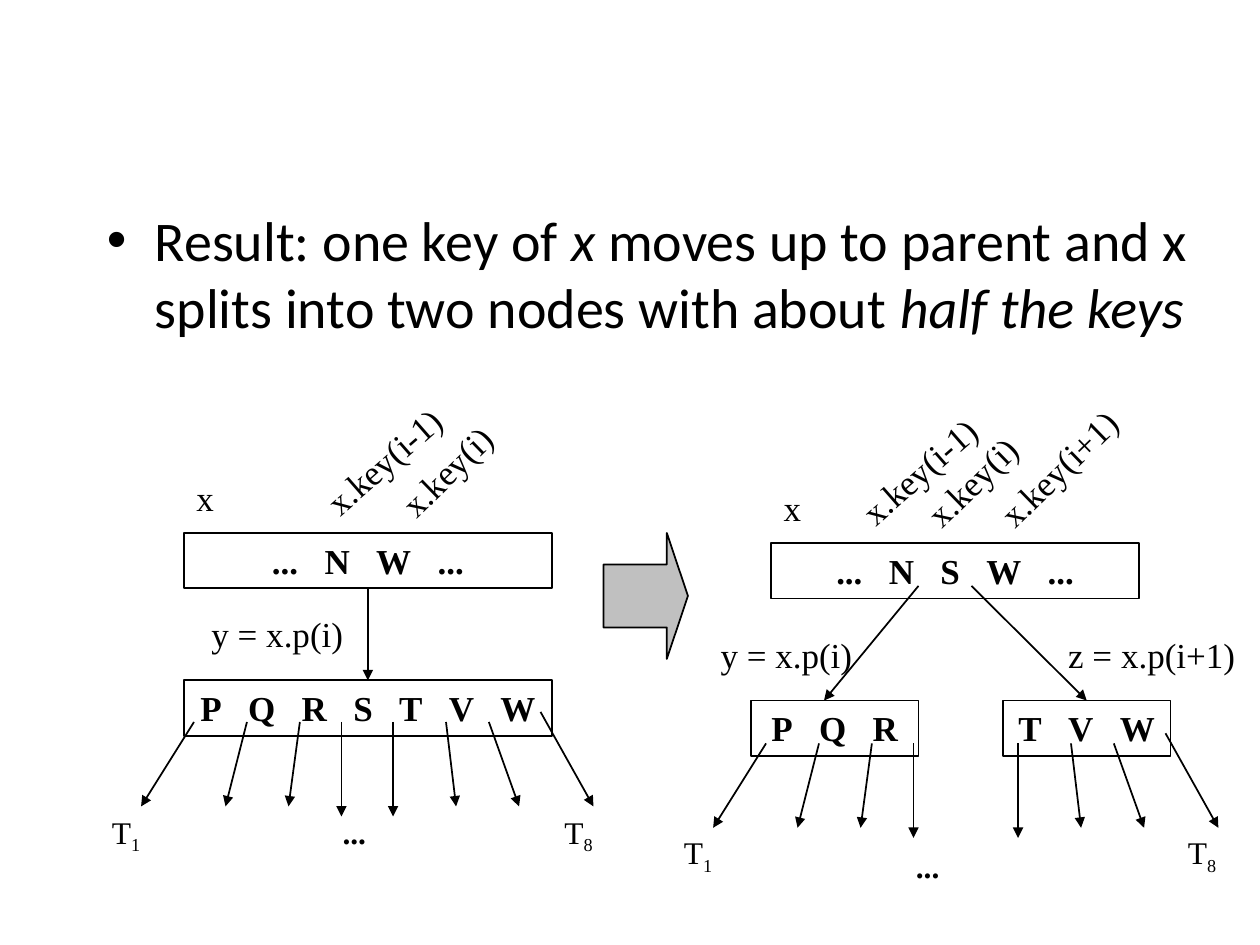
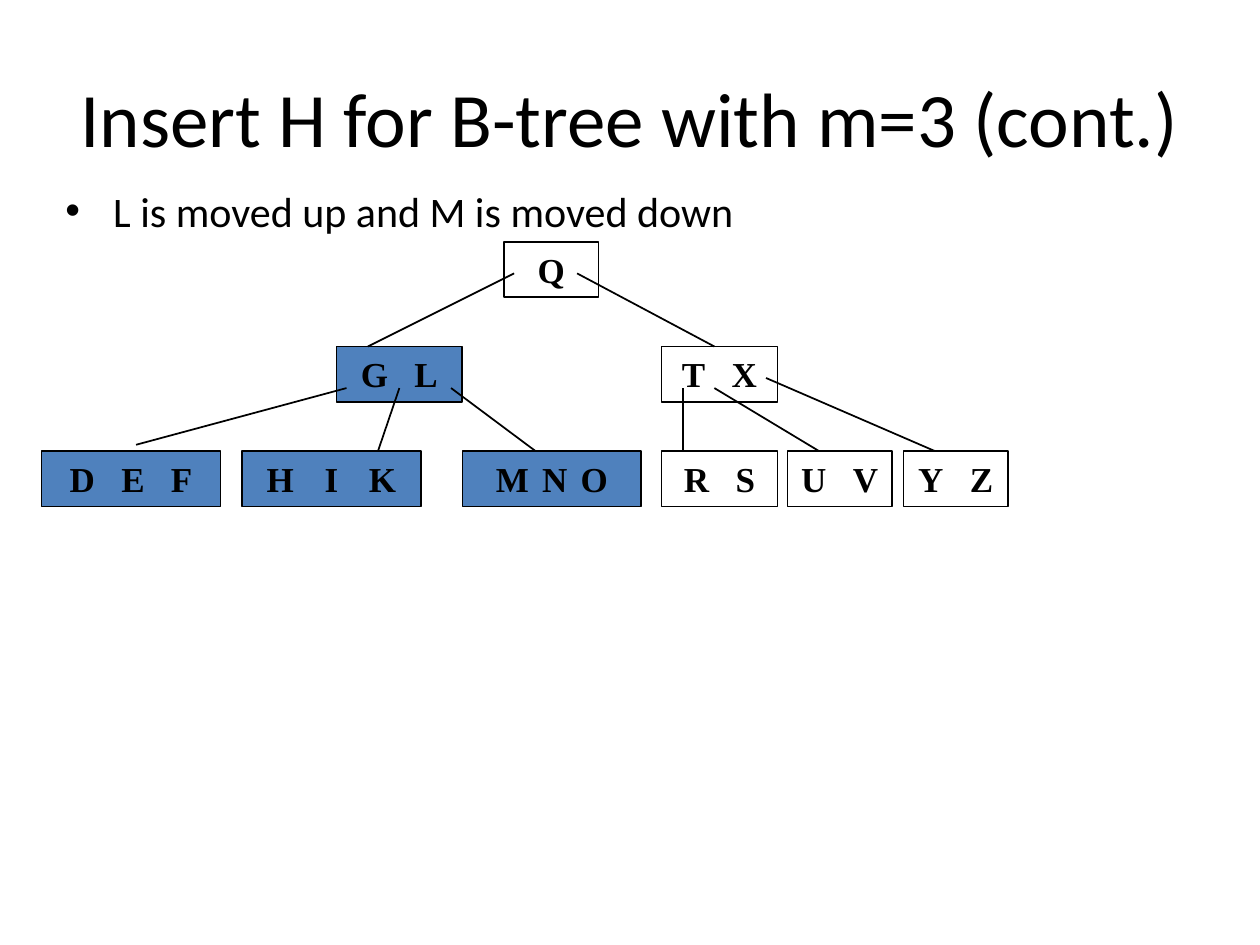
from lxml.etree import SubElement
from pptx import Presentation
from pptx.dml.color import RGBColor
from pptx.enum.shapes import MSO_CONNECTOR, MSO_SHAPE
from pptx.enum.text import MSO_ANCHOR, PP_ALIGN
from pptx.oxml.ns import qn
from pptx.util import Inches, Pt

# Shared look
color = RGBColor.from_string
BLACK, BLUE, GRAY = "000000", "4F81BD", "C0C0C0"
NODE_HEIGHT = 0.44
BULLET_INDENT = 0.38
KEY = {"name": "Times New Roman", "size": Pt(20), "bold": True}
LABEL = {"name": "Times New Roman", "size": Pt(20)}
SUBTREE = {"name": "Times New Roman", "size": Pt(18)}
TITLE = {"name": "Calibri", "size": Pt(44)}
BODY = {"name": "Calibri", "size": Pt(32)}
NOTE = {"name": "Calibri", "size": Pt(24)}
XML_ATTRIBUTES = ("baseline", "spc")


def add_box(slide, box, runs, role="label", fill=None):
    """Add a tree node, label, title or bullet; runs are (text, format) pairs."""
    lengths = [Inches(value) for value in box]
    if role == "node":
        shape = slide.shapes.add_shape(MSO_SHAPE.RECTANGLE, *lengths)
        shape.shadow.inherit = False
        shape.line.color.rgb = color(BLACK)
        shape.line.width = Pt(1)
        if fill:
            shape.fill.solid()
            shape.fill.fore_color.rgb = color(fill)
        else:
            shape.fill.background()
    else:
        shape = slide.shapes.add_textbox(*lengths)
    frame = shape.text_frame
    frame.word_wrap = True
    frame.vertical_anchor = MSO_ANCHOR.MIDDLE if role == "title" else MSO_ANCHOR.TOP
    paragraph = frame.paragraphs[0]
    paragraph.alignment = PP_ALIGN.CENTER if role in ("node", "title") else PP_ALIGN.LEFT
    if role == "bullet":
        properties = paragraph._p.get_or_add_pPr()
        properties.set("marL", str(Inches(BULLET_INDENT)))
        properties.set("indent", str(-Inches(BULLET_INDENT)))
        SubElement(properties, qn("a:buFont")).set("typeface", "Arial")
        SubElement(properties, qn("a:buChar")).set("char", "•")
    for text, text_format in runs:
        run = paragraph.add_run()
        run.text = text
        run.font.color.rgb = color(BLACK)
        for name, value in text_format.items():
            if name in XML_ATTRIBUTES:
                run._r.get_or_add_rPr().set(name, str(value))
            else:
                setattr(run.font, name, value)
    return shape


def add_line(slide, start, end, arrow=False):
    points = [Inches(value) for value in (*start, *end)]
    line = slide.shapes.add_connector(MSO_CONNECTOR.STRAIGHT, *points)
    line.line.color.rgb = color(BLACK)
    line.line.width = Pt(1)
    if arrow:
        SubElement(line.line._get_or_add_ln(), qn("a:tailEnd")).set("type", "triangle")
    SubElement(line._element.spPr, qn("a:effectLst"))
    return line


presentation = Presentation()
presentation.slide_width = Inches(10)
presentation.slide_height = Inches(7.5)
blank_layout = presentation.slide_layouts[6]

# Slide 1: splitting a node
slide = presentation.slides.add_slide(blank_layout)
italic = {**BODY, "italic": True}
add_box(slide, (0.75, 1.58, 9.12, 3.31), [
    ("Result: one key of ", BODY), ("x", italic),
    (" moves up to parent and x splits into two nodes with about ", BODY),
    ("half the keys", italic)], "bullet")

# Nodes before and after the split; wide spaces separate the keys
gap = {**KEY, "spc": 1000}
split_nodes = {}
for name, left, top, width, keys in [
    ("parent before", 1.46, 4.23, 2.92, "... N W ..."),
    ("child before", 1.46, 5.4, 2.92, "P Q R S T V W"),
    ("parent after", 6.12, 4.31, 2.92, "... N S W ..."),
    ("left child", 5.96, 5.56, 1.33, "P Q R"),
    ("right child", 7.96, 5.56, 1.33, "T V W"),
]:
    runs = [(part, gap if part == " " else KEY)
            for key in keys.split() for part in (" ", key)][1:]
    split_nodes[name] = add_box(slide, (left, top, width, NODE_HEIGHT), runs, "node")

# Pointers from parents to children
pointer = add_line(slide, (2.92, 4.67), (2.92, 5.4), arrow=True)
pointer.begin_connect(split_nodes["parent before"], 2)
pointer.end_connect(split_nodes["child before"], 0)
add_line(slide, (7.29, 4.65), (6.54, 5.56), arrow=True)
pointer = add_line(slide, (7.71, 4.65), (8.62, 5.56), arrow=True)
pointer.end_connect(split_nodes["right child"], 0)

# Arrows to the subtrees; after the split each half moves with its node
subtree_arrows = [
    (1.54, 5.73, 1.12, 6.4), (1.96, 5.73, 1.79, 6.4),
    (2.38, 5.73, 2.29, 6.4), (2.71, 5.73, 2.71, 6.48),
    (3.12, 5.73, 3.12, 6.48), (3.54, 5.73, 3.62, 6.4),
    (3.88, 5.73, 4.12, 6.4), (4.29, 5.65, 4.71, 6.4),
]
for arrows, shift_x, shift_y in [
    (subtree_arrows, 0, 0),
    (subtree_arrows[:4], 4.54, 0.17),
    (subtree_arrows[4:], 4.96, 0.17),
]:
    for x1, y1, x2, y2 in arrows:
        add_line(slide, (x1 + shift_x, y1 + shift_y), (x2 + shift_x, y2 + shift_y), arrow=True)

# Subtree labels
subscript = {**SUBTREE, "baseline": -25000}
for left, top, number in [(0.79, 6.4, "1"), (4.38, 6.4, "8"), (5.33, 6.56, "1"), (9.33, 6.56, "8")]:
    add_box(slide, (left, top, 0.58, 0.4), [("T", SUBTREE), (number, subscript)])
for left, top in [(2.62, 6.4), (7.17, 6.67)]:
    add_box(slide, (left, top, 0.58, 0.4), [("...", {**SUBTREE, "bold": True})])

# Node, key and pointer labels
for left, top, width, rotation, text in [
    (1.46, 3.73, 0.58, 0, "x"),
    (2.38, 3.4, 1.42, 318.7, "x.key(i-1)"),
    (2.96, 3.4, 1.42, 315.8, "x.key(i)"),
    (1.58, 4.81, 1.42, 0, "y = x.p(i)"),
    (6.12, 3.81, 0.58, 0, "x"),
    (6.63, 3.48, 1.42, 318.7, "x.key(i-1)"),
    (7.13, 3.48, 1.42, 315.8, "x.key(i)"),
    (7.71, 3.48, 1.42, 315.8, "x.key(i+1)"),
    (5.62, 4.98, 1.42, 0, "y = x.p(i)"),
    (8.38, 4.98, 1.54, 0, "z = x.p(i+1)"),
]:
    label = add_box(slide, (left, top, width, NODE_HEIGHT), [(text, LABEL)])
    label.rotation = rotation

# Block arrow between the two states
block_arrow = slide.shapes.add_shape(
    MSO_SHAPE.RIGHT_ARROW, Inches(4.79), Inches(4.23), Inches(0.67), Inches(1))
block_arrow.adjustments[0] = 0.5
block_arrow.adjustments[1] = 0.25
block_arrow.shadow.inherit = False
block_arrow.fill.solid()
block_arrow.fill.fore_color.rgb = color(GRAY)
block_arrow.line.color.rgb = color(BLACK)
block_arrow.line.width = Pt(1)

# Slide 2: inserting H
slide = presentation.slides.add_slide(blank_layout)
add_box(slide, (0.5, 0.3, 9, 1.25), [("Insert H for B-tree with m=3 (cont.)", TITLE)], "title")
add_box(slide, (0.42, 1.42, 9, 0.58), [("L is moved up and M is moved down", NOTE)], "bullet")

# Tree nodes by level, changed ones in blue; spacing is in hundredths of a point
ROOT_TOP, MIDDLE_TOP, LEAF_TOP = 1.92, 2.75, 3.58
for left, top, width, keys, spacing, fill in [
    (4, ROOT_TOP, 0.75, "Q", 1000, None),
    (2.67, MIDDLE_TOP, 1, "G L", 1000, BLUE),
    (5.25, MIDDLE_TOP, 0.92, "T X", 1000, None),
    (0.33, LEAF_TOP, 1.42, "D E F", 1000, BLUE),
    (1.92, LEAF_TOP, 1.42, "H I K", 1250, BLUE),
    (3.67, LEAF_TOP, 1.42, "M N O", 250, BLUE),
    (5.25, LEAF_TOP, 0.92, "R S", 1000, None),
    (6.25, LEAF_TOP, 0.83, "U V", 1000, None),
    (7.17, LEAF_TOP, 0.83, "Y Z", 1000, None),
]:
    gap = {**KEY, "spc": spacing}
    runs = [(part, gap if part == " " else KEY)
            for key in keys.split() for part in (" ", key)][1:]
    add_box(slide, (left, top, width, NODE_HEIGHT), runs, "node", fill)

# Tree edges
for start, end in [
    ((4.08, 2.17), (2.92, MIDDLE_TOP)),
    ((4.58, 2.17), (5.67, MIDDLE_TOP)),
    ((2.75, 3.08), (1.08, 3.53)),
    ((3.17, 3.08), (3, LEAF_TOP)),
    ((3.58, 3.08), (4.25, LEAF_TOP)),
    ((5.42, 3.08), (5.42, LEAF_TOP)),
    ((5.67, 3.08), (6.5, LEAF_TOP)),
    ((6.08, 3), (7.42, LEAF_TOP)),
]:
    add_line(slide, start, end)

presentation.save("out.pptx")
